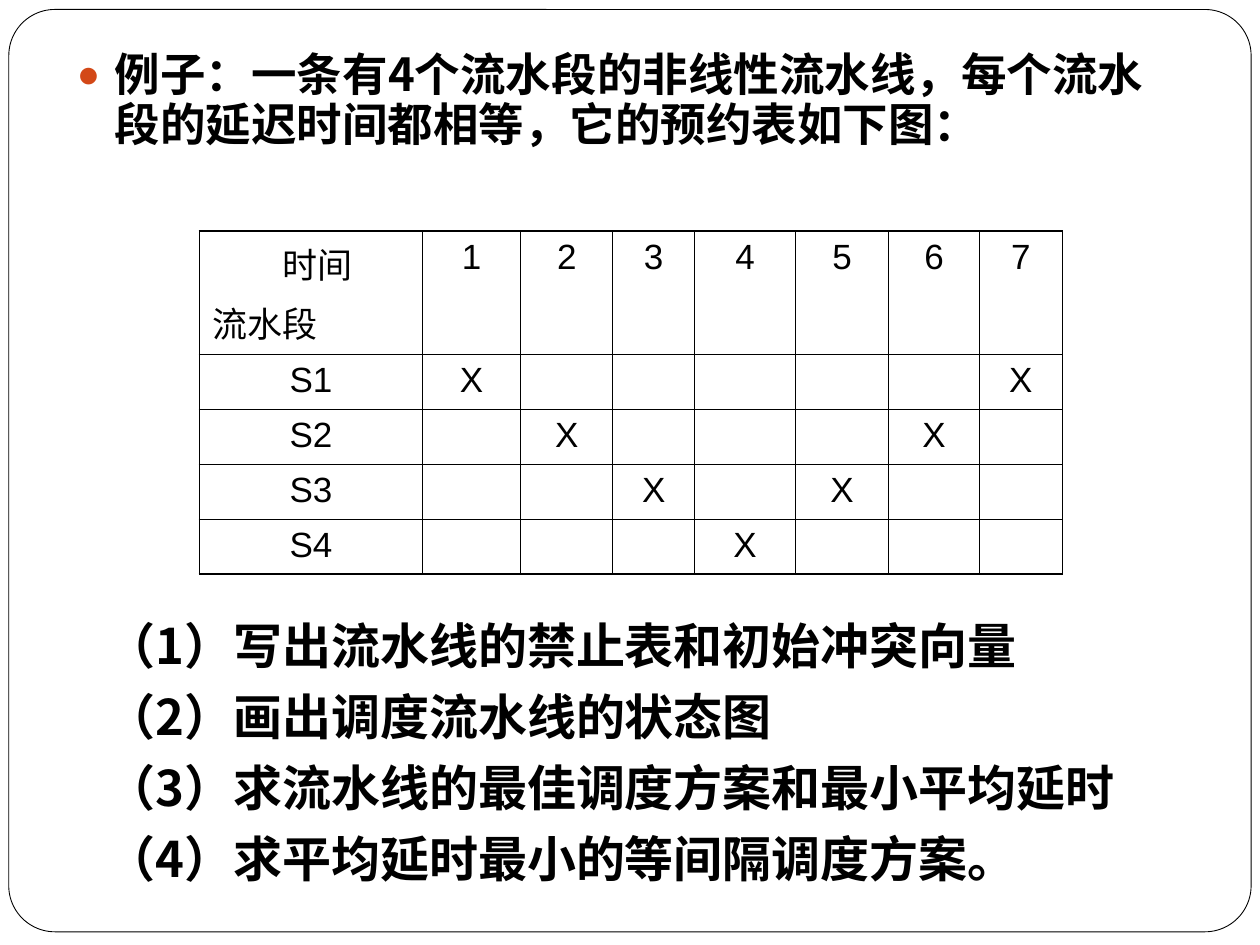
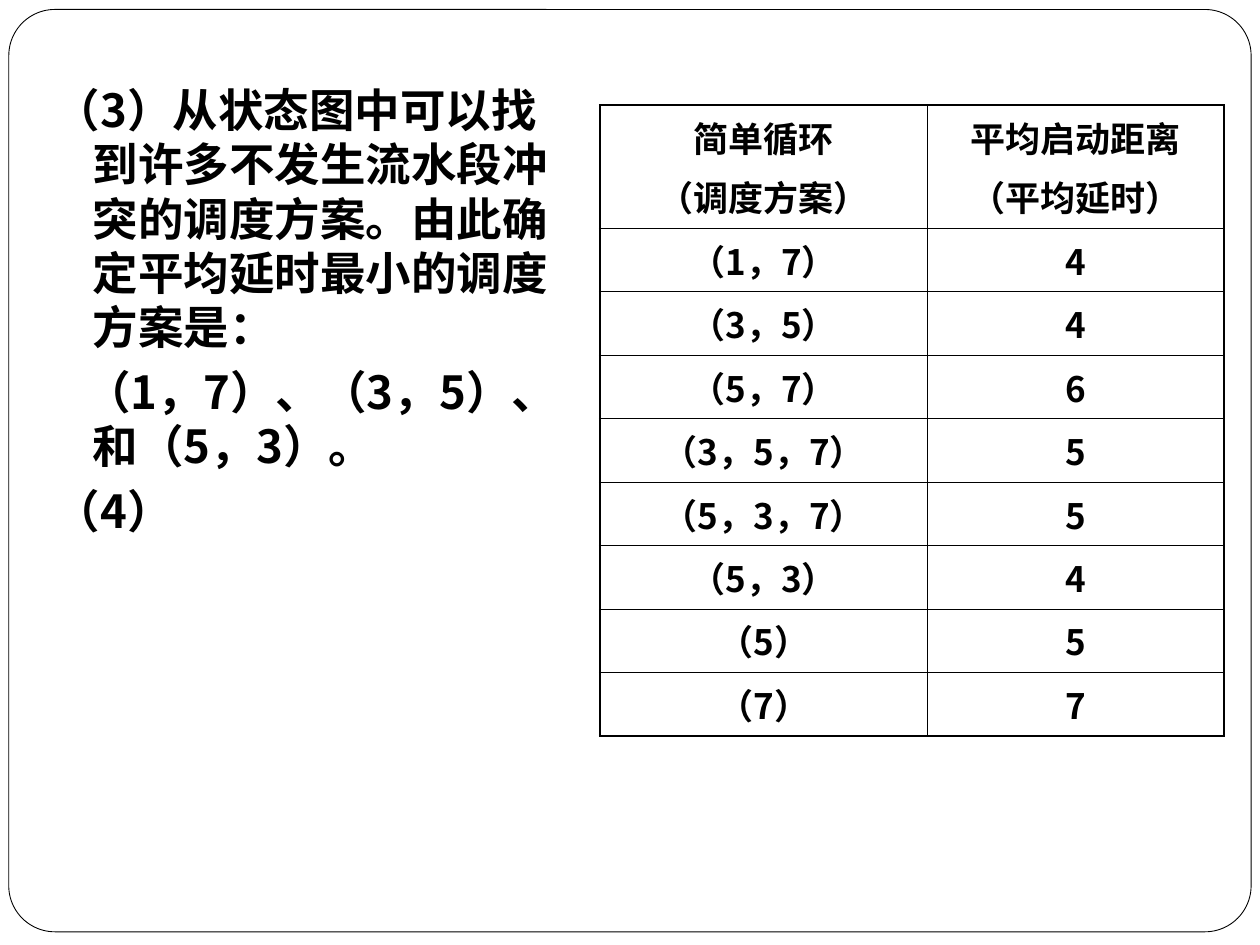
from collections import namedtuple

from lxml.etree import SubElement
from pptx import Presentation
from pptx.dml.color import RGBColor
from pptx.enum.shapes import MSO_SHAPE
from pptx.enum.text import MSO_ANCHOR, MSO_AUTO_SIZE, PP_ALIGN
from pptx.oxml.ns import qn
from pptx.util import Inches, Pt

COLORS = {"ink": "000000", "paper": "FFFFFF", "bullet": "D34817"}
CJK, LATIN = "Noto Sans CJK SC", "Arial"
CELL = Inches(0.1)  # the slide is a grid of 100 columns by 75 rows
COLUMNS, ROWS = 100, 75
THICK, THIN = Pt(1.08), Pt(0.45)

Box = namedtuple("Box", "left top width height")


def on_grid(box):
    return [round(length * CELL) for length in box]


def color(name):
    return RGBColor.from_string(COLORS[name])


def write(para, text, size=20, font=CJK, bold=True, align=PP_ALIGN.LEFT,
          before=0, pitch=None, margin=0, indent=0, bullet=None):
    """Fill a paragraph; margin and indent are inches, pitch is the line height in points."""
    props = para._p.get_or_add_pPr()
    props.set("marL", str(Inches(margin)))
    props.set("indent", str(Inches(indent)))
    para.alignment = align
    para.space_before = Pt(before)
    if pitch:
        para.line_spacing = Pt(pitch)
    if bullet:
        bullet_color = SubElement(props, qn("a:buClr"))
        SubElement(bullet_color, qn("a:srgbClr"), val=COLORS["bullet"])
        SubElement(props, qn("a:buSzPct"), val="85000")
        SubElement(props, qn("a:buFont"), typeface=LATIN)
        SubElement(props, qn("a:buChar"), char=bullet)
    else:
        SubElement(props, qn("a:buNone"))
    span = para.add_run()
    span.text = text
    span.font.size = Pt(size)
    span.font.bold = bold
    span.font.name = font
    span.font.color.rgb = color("ink")
    SubElement(span._r.get_or_add_rPr(), qn("a:ea"), typeface=CJK)


def write_lines(frame, lines, before=0, **style):
    """Write one paragraph per line, with space only between them."""
    for number, line in enumerate(lines):
        para = frame.paragraphs[0] if number == 0 else frame.add_paragraph()
        text, extra = line if isinstance(line, tuple) else (line, {})
        write(para, text, before=before if number else 0, **{**style, **extra})


def set_up_frame(frame):
    frame.word_wrap = True
    frame.auto_size = MSO_AUTO_SIZE.NONE
    frame.vertical_anchor = MSO_ANCHOR.TOP


def add_page_frame(page):
    """Draw the rounded page frame behind everything else."""
    box = Box(0.7, 0.75, COLUMNS - 1.4, ROWS - 1.8)
    frame = page.shapes.add_shape(MSO_SHAPE.ROUNDED_RECTANGLE, *on_grid(box))
    frame.adjustments[0] = 0.05
    frame.shadow.inherit = False
    frame.fill.solid()
    frame.fill.fore_color.rgb = color("paper")
    frame.line.color.rgb = color("ink")
    frame.line.width = Pt(0.5)
    page.shapes.element.insert(2, frame.element)


def add_page(deck):
    page = deck.slides.add_slide(deck.slide_layouts[1])
    title = page.shapes.title.element
    title.getparent().remove(title)
    add_page_frame(page)
    return page


def fill_body(page, box, lines, **style):
    body = page.placeholders[1]
    body.left, body.top, body.width, body.height = on_grid(box)
    set_up_frame(body.text_frame)
    write_lines(body.text_frame, lines, size=26, before=5.8, margin=0.3,
                indent=-0.3, **style)


def add_questions(page, box, lines):
    questions = page.shapes.add_textbox(*on_grid(box))
    set_up_frame(questions.text_frame)
    write_lines(questions.text_frame, lines, size=28, before=7, pitch=33.6)


def set_borders(cell, outer_sides):
    props = cell._tc.get_or_add_tcPr()
    for position, side in enumerate("LRTB"):
        width = THICK if side in outer_sides else THIN
        line = SubElement(props, qn(f"a:ln{side}"), w=str(width))
        fill = SubElement(line, qn("a:solidFill"))
        SubElement(fill, qn("a:srgbClr"), val=COLORS["ink"])
        props.insert(position, line)


def add_ruled_table(page, box, rows, column_shares, header_share, **style):
    """Each cell is a list of lines; the rows below the header share its remainder."""
    left, top, width, height = on_grid(box)
    last_row, last_column = len(rows) - 1, len(column_shares) - 1
    table = page.shapes.add_table(len(rows), len(column_shares),
                                  left, top, width, height).table
    table.first_row = table.horz_banding = False
    for column, share in zip(table.columns, column_shares):
        column.width = round(width * share / sum(column_shares))
    header_height = round(height * header_share)
    for r, row in enumerate(rows):
        table.rows[r].height = (header_height if r == 0
                                else round((height - header_height) / last_row))
        for c, lines in enumerate(row):
            cell = table.cell(r, c)
            cell.fill.background()
            outer = {"L": c == 0, "R": c == last_column, "T": r == 0, "B": r == last_row}
            set_borders(cell, [side for side, at_edge in outer.items() if at_edge])
            write_lines(cell.text_frame, lines, before=5,
                        **{"align": PP_ALIGN.CENTER, **style})


def add_reservation_table(page, box):
    times = range(1, 8)
    busy = {"S1": (1, 7), "S2": (2, 6), "S3": (3, 5), "S4": (4,)}
    corner = [("时间", {"align": PP_ALIGN.LEFT, "margin": 0.56}),
              ("流水段", {"align": PP_ALIGN.LEFT})]
    rows = [[corner] + [[str(time)] for time in times]]
    for stage, slots in busy.items():
        rows.append([[stage]] + [["X"] if time in slots else [] for time in times])
    add_ruled_table(page, box, rows, [1.77, 0.78, 0.73, 0.65, 0.8, 0.74, 0.72, 0.66],
                    header_share=0.36, font=LATIN, bold=False)


def add_cycle_table(page, box):
    cycles = [("（1，7）", 4), ("（3，5）", 4), ("（5，7）", 6), ("（3，5，7）", 5),
              ("（5，3，7）", 5), ("（5，3）", 4), ("（5）", 5), ("（7）", 7)]
    rows = [[["简单循环", "（调度方案）"], ["平均启动距离", "（平均延时）"]]]
    rows += [[[cycle], [str(delay)]] for cycle, delay in cycles]
    add_ruled_table(page, box, rows, [2.6, 2.35], header_share=0.19)


def build_problem(page):
    fill_body(page, Box(5.1, 3.6, 89.9, 11.4),
              ["例子：一条有4个流水段的非线性流水线，每个流水段的延迟时间都相等，"
               "它的预约表如下图："], pitch=28.2, bullet="●")
    add_reservation_table(page, Box(15.84, 18.35, 68.5, 27.2))
    add_questions(page, Box(7.5, 48.35, 88.4, 22.6),
                  ["（1）写出流水线的禁止表和初始冲突向量",
                   "（2）画出调度流水线的状态图",
                   "（3）求流水线的最佳调度方案和最小平均延时",
                   "（4）求平均延时最小的等间隔调度方案。"])


def build_solution(page):
    fill_body(page, Box(3.35, 6, 42.7, 63.2),
              ["（3）从状态图中可以找到许多不发生流水段冲突的调度方案。"
               "由此确定平均延时最小的调度方案是：",
               ("（1，7）、（3，5）、和（5，3）。", {"indent": -0.06}),
               "（4）"], pitch=31.1)
    add_cycle_table(page, Box(47.6, 8.35, 49.55, 49.75))


def main():
    deck = Presentation()
    deck.slide_width, deck.slide_height = COLUMNS * CELL, ROWS * CELL
    for build in (build_problem, build_solution):
        build(add_page(deck))
    deck.save("out.pptx")


if __name__ == "__main__":
    main()
